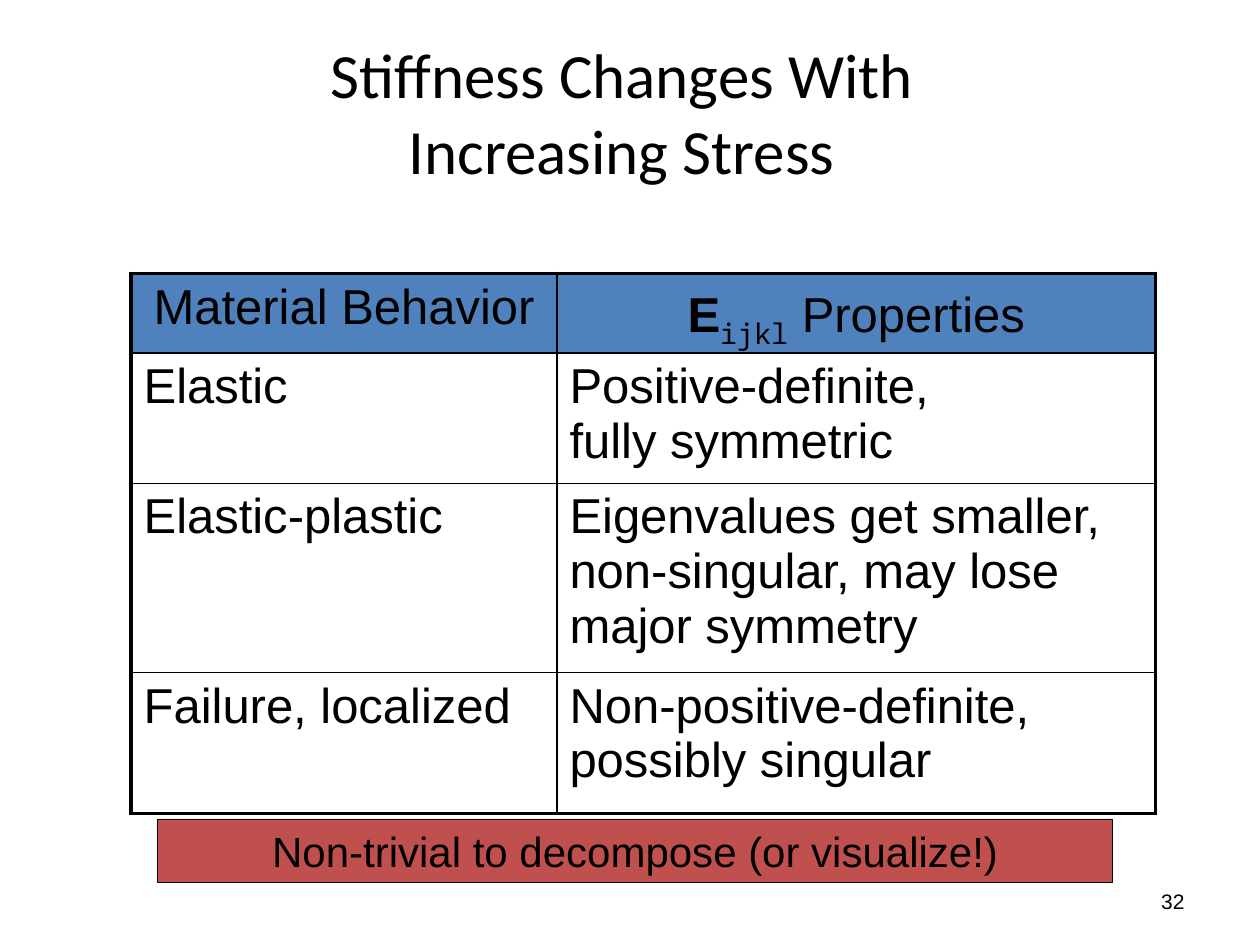
from lxml import etree
from pptx import Presentation
from pptx.dml.color import RGBColor
from pptx.enum.shapes import MSO_SHAPE
from pptx.enum.text import MSO_ANCHOR, PP_ALIGN
from pptx.oxml.ns import qn
from pptx.util import Inches, Pt

CENTER, LEFT, RIGHT = PP_ALIGN.CENTER, PP_ALIGN.LEFT, PP_ALIGN.RIGHT
MIDDLE = MSO_ANCHOR.MIDDLE
RECTANGLE = MSO_SHAPE.RECTANGLE

BLACK = RGBColor(0x00, 0x00, 0x00)
BLUE = RGBColor(0x4F, 0x81, 0xBD)
RED = RGBColor(0xC0, 0x50, 0x4D)

OUTER_WIDTH, INNER_WIDTH = 2.25, 1


def write_text(text_frame, runs, size, alignment, font="Arial"):
    """Fill the first paragraph; each run is (text, bold, subscript), and a newline breaks the line."""
    text_frame.word_wrap = True
    paragraph = text_frame.paragraphs[0]
    paragraph.alignment = alignment
    for text, bold, subscript in runs:
        for index, line in enumerate(text.split("\n")):
            if index:
                paragraph.add_line_break()
            run = paragraph.add_run()
            run.text = line
            run.font.size = Pt(size)
            run.font.bold = bold
            run.font.name = "Noto Sans Mono" if subscript else font
            run.font.color.rgb = BLACK
            if subscript:
                run.font._element.set("baseline", "-25000")


def set_borders(cell, widths):
    """Draw black borders; widths are points for left, right, top and bottom."""
    properties = cell._tc.get_or_add_tcPr()
    for index, (tag, width) in enumerate(zip(("a:lnL", "a:lnR", "a:lnT", "a:lnB"), widths)):
        line = etree.Element(qn(tag), w=str(Pt(width)))
        fill = etree.SubElement(line, qn("a:solidFill"))
        etree.SubElement(fill, qn("a:srgbClr"), val=str(BLACK))
        properties.insert(index, line)


presentation = Presentation()
presentation.slide_width = Inches(10)
presentation.slide_height = Inches(7.5)
slide = presentation.slides.add_slide(presentation.slide_layouts[6])

# Title and slide number
for text, box, size, alignment, font in (
    ("Stiffness Changes With\nIncreasing Stress", (1.02, 0.11, 7.83, 1.55), 36, CENTER, "Calibri"),
    ("32", (7.17, 6.95, 2.33, 0.4), 12, RIGHT, "Arial"),
):
    text_box = slide.shapes.add_textbox(*(Inches(length) for length in box))
    text_box.text_frame.vertical_anchor = MIDDLE
    write_text(text_box.text_frame, [(text, False, False)], size, alignment, font)

# Table of material behavior
header_runs = [
    [("Material Behavior", False, False)],
    [("E", True, False), ("ijkl", False, True), (" Properties", False, False)],
]
behaviors = [
    ("Elastic", "Positive-definite,\nfully symmetric"),
    ("Elastic-plastic", "Eigenvalues get smaller, non-singular, may lose major symmetry"),
    ("Failure, localized", "Non-positive-definite, possibly singular"),
]
table_rows = [header_runs] + [[[(text, False, False)] for text in row] for row in behaviors]
column_widths = [3.38, 4.75]
row_heights = [0.58, 1.03, 1.5, 1.12]

table = slide.shapes.add_table(
    len(row_heights), len(column_widths), Inches(1.04), Inches(2.17),
    Inches(sum(column_widths)), Inches(sum(row_heights)),
).table
for column, width in zip(table.columns, column_widths):
    column.width = Inches(width)
for row, height in zip(table.rows, row_heights):
    row.height = Inches(height)

last_row, last_column = len(row_heights) - 1, len(column_widths) - 1
for row_index, row in enumerate(table_rows):
    for column_index, runs in enumerate(row):
        cell = table.cell(row_index, column_index)
        is_header = row_index == 0
        if is_header:
            cell.fill.solid()
            cell.fill.fore_color.rgb = BLUE
        else:
            cell.fill.background()
        write_text(cell.text_frame, runs, 28, CENTER if is_header else LEFT)
        outer_sides = (column_index == 0, column_index == last_column,
                       row_index == 0, row_index == last_row)
        set_borders(cell, [OUTER_WIDTH if outer else INNER_WIDTH for outer in outer_sides])

# Conclusion bar
conclusion = slide.shapes.add_shape(RECTANGLE, Inches(1.25), Inches(6.5), Inches(7.58), Inches(0.5))
conclusion.shadow.inherit = False
conclusion.fill.solid()
conclusion.fill.fore_color.rgb = RED
conclusion.line.color.rgb = BLACK
conclusion.line.width = Pt(0.25)
conclusion.text_frame.vertical_anchor = MIDDLE
write_text(conclusion.text_frame, [("Non-trivial to decompose (or visualize!)", False, False)], 24, CENTER)

presentation.save("out.pptx")
